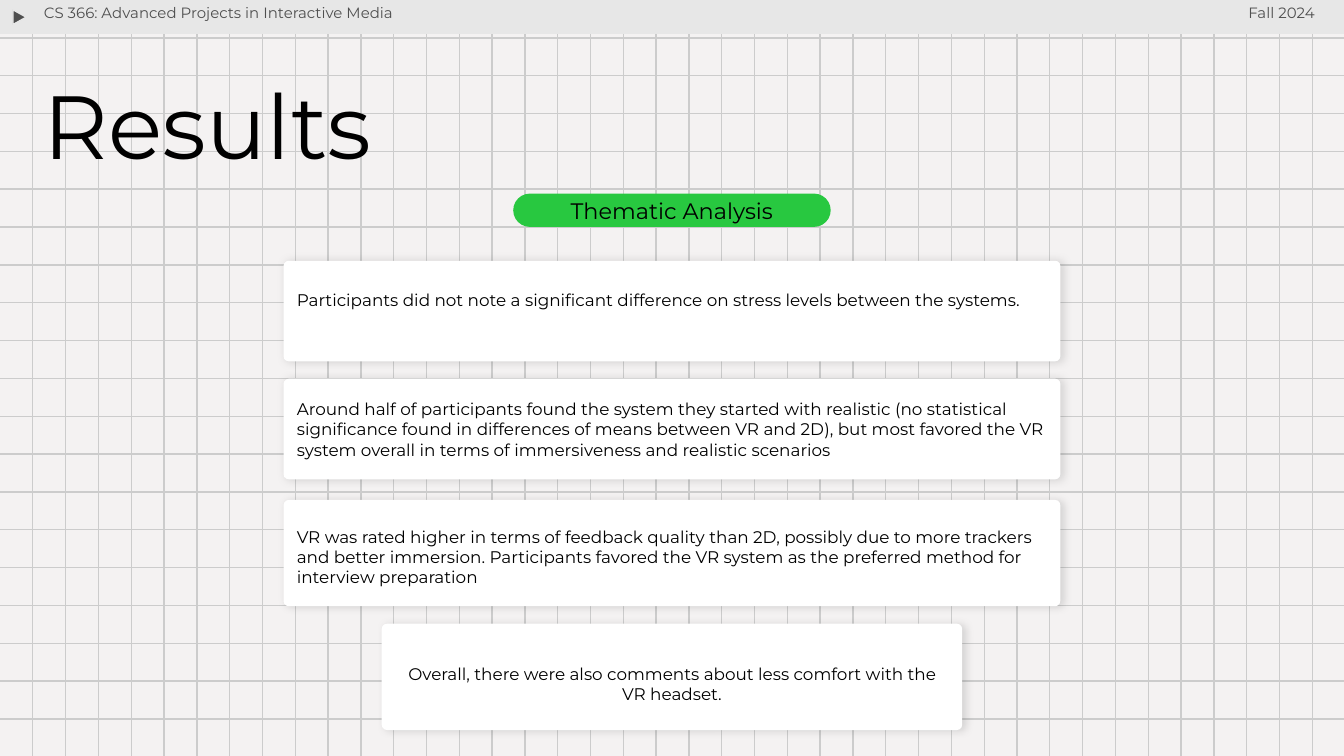
from lxml.etree import SubElement as Sub
from pptx import Presentation
from pptx.dml.color import RGBColor as Rgb
from pptx.enum.shapes import MSO_CONNECTOR as Link, MSO_SHAPE as Form
from pptx.enum.text import MSO_ANCHOR as Anchor, PP_ALIGN as Align
from pptx.oxml.ns import qn
from pptx.util import Cm, Pt

hues = {
    "page": "F4F2F2",
    "grid": "CCCCCC",
    "bar": "E7E7E7",
    "grey": "4F4F4F",
    "green": "28C840",
    "white": "FFFFFF",
    "black": "000000",
}

deck = Presentation()
deck.slide_width, deck.slide_height = Cm(25.4), Cm(14.29)
slide = deck.slides.add_slide(deck.slide_layouts[6])
slide.background.fill.solid()
slide.background.fill.fore_color.rgb = Rgb.from_string(hues["page"])


def add_form(kind, box, hue):
    form = slide.shapes.add_shape(kind, *map(Cm, box))
    form.shadow.inherit = False
    form.fill.solid()
    form.fill.fore_color.rgb = Rgb.from_string(hues[hue])
    form.line.fill.background()
    return form


def add_text(box, text, size, hue="black", align=Align.LEFT, host=None):
    host = host or slide.shapes.add_textbox(*map(Cm, box))
    frame = host.text_frame
    frame.word_wrap = True
    frame.margin_left = frame.margin_right = Cm(0.25)
    frame.margin_top = frame.margin_bottom = Cm(0.25)
    para = frame.paragraphs[0]
    para.alignment = align
    run = para.add_run()
    run.text = text
    run.font.size = Pt(size)
    run.font.name = "Montserrat"
    run.font.color.rgb = Rgb.from_string(hues[hue])
    return frame


rows = [(0, 13.59 * i / 19, 25.4, 13.59 * i / 19) for i in range(1, 20)]
cols = [(0.62 * i, 0, 0.62 * i, 14.29) for i in range(1, 41)]
for ends in rows + cols:
    line = slide.shapes.add_connector(Link.STRAIGHT, *map(Cm, ends))
    line.line.color.rgb = Rgb.from_string(hues["grid"])
    line.line.width = Pt(0.75)
    Sub(line._element.spPr, qn("a:effectLst"))

add_form(Form.RECTANGLE, (0, 0, 25.4, 0.64), "bar")
arrow = add_form(Form.ISOSCELES_TRIANGLE, (0.23, 0.2, 0.28, 0.25), "grey")
arrow.rotation = 90
arrow.line.color.rgb = Rgb.from_string(hues["bar"])
arrow.line.width = Pt(0.75)
add_text((0.58, -0.1, 10.59, 0.86),
         "CS 366: Advanced Projects in Interactive Media", 8, "grey")
add_text((21.92, -0.1, 3.18, 0.86), "Fall 2024", 8, "grey", Align.RIGHT)

title = add_text((0.58, 1.3, 13.94, 2.36), "Results", 48)
title.paragraphs[0].line_spacing = 0.9

pill = add_form(Form.ROUNDED_RECTANGLE, (9.7, 3.66, 6, 0.63), "green")
pill.adjustments[0] = 0.5
label = add_text(None, "Thematic Analysis", 12, align=Align.CENTER, host=pill)
label.vertical_anchor = Anchor.MIDDLE

cards = [
    (4.93, 1.9, 14.68, 5.28, 0.89, Align.LEFT,
     "Participants did not note a significant difference on stress levels "
     "between the systems."),
    (7.16, 1.9, 14.68, 7.29, 1.68, Align.LEFT,
     "Around half of participants found the system they started with "
     "realistic (no statistical significance found in differences of means "
     "between VR and 2D), but most favored the VR system overall in terms of "
     "immersiveness and realistic scenarios"),
    (9.45, 2.01, 14.68, 9.7, 1.68, Align.LEFT,
     "VR was rated higher in terms of feedback quality than 2D, possibly due "
     "to more trackers and better immersion. Participants favored the VR "
     "system as the preferred method for interview preparation"),
    (11.79, 2.01, 10.97, 12.3, 1.27, Align.CENTER,
     "Overall, there were also comments about less comfort with the VR "
     "headset."),
]
for top, high, wide, head, tall, align, text in cards:
    left = (25.4 - wide) / 2
    card = add_form(Form.ROUNDED_RECTANGLE, (left, top, wide, high), "white")
    card.adjustments[0] = 0.05
    glow = Sub(card._element.spPr.find(qn("a:effectLst")), qn("a:outerShdw"),
               blurRad=str(Pt(4.5)), dist=str(Pt(1.5)), dir="0",
               algn="bl", rotWithShape="0")
    tint = Sub(glow, qn("a:srgbClr"), val=hues["black"])
    Sub(tint, qn("a:alpha"), val="12000")
    add_text((left, head, wide, tall), text, 9, align=align)

deck.save("out.pptx")
